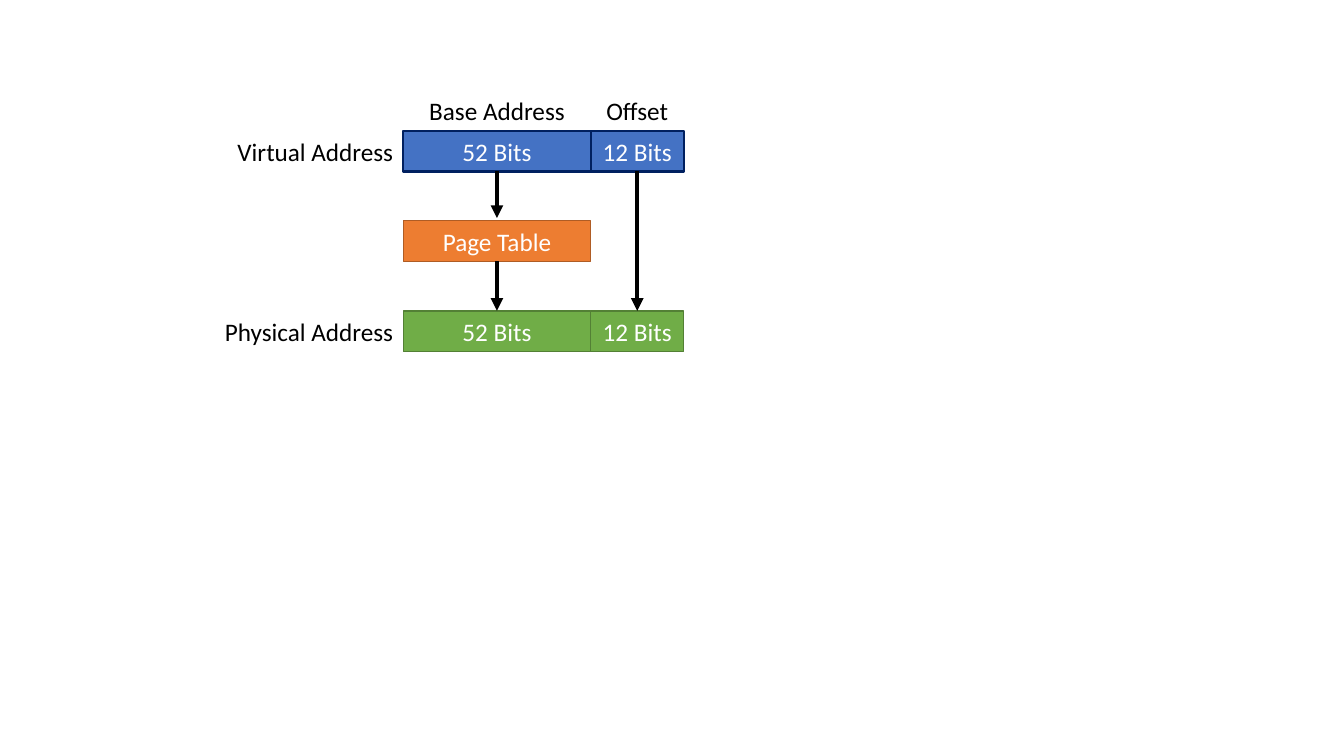
from lxml import etree
from pptx import Presentation
from pptx.dml.color import RGBColor
from pptx.enum.shapes import MSO_CONNECTOR, MSO_SHAPE
from pptx.enum.text import MSO_ANCHOR, MSO_AUTO_SIZE, PP_ALIGN
from pptx.oxml.ns import qn
from pptx.util import Pt

RECTANGLE = MSO_SHAPE.RECTANGLE
STRAIGHT = MSO_CONNECTOR.STRAIGHT
MIDDLE = MSO_ANCHOR.MIDDLE
GROW = MSO_AUTO_SIZE.SHAPE_TO_FIT_TEXT
CENTER = PP_ALIGN.CENTER
RIGHT = PP_ALIGN.RIGHT

BLACK = RGBColor(0x00, 0x00, 0x00)
WHITE = RGBColor(0xFF, 0xFF, 0xFF)
BLUE = RGBColor(0x44, 0x72, 0xC4)
NAVY = RGBColor(0x00, 0x20, 0x60)
ORANGE = RGBColor(0xED, 0x7D, 0x31)
BROWN = RGBColor(0xAF, 0x5C, 0x24)
GREEN = RGBColor(0x70, 0xAD, 0x47)
DARK_GREEN = RGBColor(0x53, 0x80, 0x35)

ROW_HEIGHT = 29.1
BASE_LEFT, BASE_WIDTH = 288, 134
OFFSET_LEFT, OFFSET_WIDTH = BASE_LEFT + BASE_WIDTH, 66.4
BASE_CENTER = BASE_LEFT + BASE_WIDTH / 2
OFFSET_CENTER = OFFSET_LEFT + OFFSET_WIDTH / 2
HEADING_TOP = 64.3
VIRTUAL_TOP, ROW_STEP = 93.4, 64.3
TABLE_TOP = VIRTUAL_TOP + ROW_STEP
PHYSICAL_TOP = TABLE_TOP + ROW_STEP


class Diagram:
    font_name = "Calibri"
    font_size = 18
    arrow_width = 3

    def __init__(self, slide):
        self.slide = slide

    def set_text(self, shape, text, color, alignment):
        frame = shape.text_frame
        frame.word_wrap = True
        frame.auto_size = GROW
        frame.vertical_anchor = MIDDLE
        paragraph = frame.paragraphs[0]
        paragraph.text = text
        paragraph.alignment = alignment
        paragraph.font.name = self.font_name
        paragraph.font.size = Pt(self.font_size)
        paragraph.font.color.rgb = color

    def box(self, text, left, top, width, fill, outline, outline_width=1):
        shape = self.slide.shapes.add_shape(
            RECTANGLE, Pt(left), Pt(top), Pt(width), Pt(ROW_HEIGHT))
        shape.shadow.inherit = False
        shape.fill.solid()
        shape.fill.fore_color.rgb = fill
        shape.line.color.rgb = outline
        shape.line.width = Pt(outline_width)
        self.set_text(shape, text, WHITE, CENTER)

    def label(self, text, left, top, width, alignment=CENTER):
        shape = self.slide.shapes.add_textbox(
            Pt(left), Pt(top), Pt(width), Pt(ROW_HEIGHT))
        self.set_text(shape, text, BLACK, alignment)

    def row_label(self, text, top, width):
        self.label(text, BASE_LEFT - width, top, width, RIGHT)

    def address(self, top, *style):
        self.box("52 Bits", BASE_LEFT, top, BASE_WIDTH, *style)
        self.box("12 Bits", OFFSET_LEFT, top, OFFSET_WIDTH, *style)

    def down_arrow(self, center, top, bottom):
        connector = self.slide.shapes.add_connector(
            STRAIGHT, Pt(center), Pt(top), Pt(center), Pt(bottom))
        connector.line.color.rgb = BLACK
        connector.line.width = Pt(self.arrow_width)
        properties = connector.element.spPr
        etree.SubElement(properties.get_or_add_ln(), qn("a:tailEnd"), type="triangle")
        etree.SubElement(properties, qn("a:effectLst"))


def main():
    presentation = Presentation()
    presentation.slide_width = Pt(960)
    presentation.slide_height = Pt(540)
    diagram = Diagram(presentation.slides.add_slide(presentation.slide_layouts[6]))

    diagram.address(VIRTUAL_TOP, BLUE, NAVY, 1.5)
    diagram.row_label("Virtual Address", VIRTUAL_TOP, 134)
    diagram.label("Base Address", BASE_LEFT, HEADING_TOP, BASE_WIDTH)
    diagram.label("Offset", OFFSET_LEFT, HEADING_TOP, OFFSET_WIDTH)
    diagram.box("Page Table", BASE_LEFT, TABLE_TOP, BASE_WIDTH, ORANGE, BROWN)
    diagram.address(PHYSICAL_TOP, GREEN, DARK_GREEN)
    diagram.row_label("Physical Address", PHYSICAL_TOP, 147)

    diagram.down_arrow(BASE_CENTER, VIRTUAL_TOP + ROW_HEIGHT, TABLE_TOP - 2)
    diagram.down_arrow(OFFSET_CENTER, VIRTUAL_TOP + ROW_HEIGHT, PHYSICAL_TOP)
    diagram.down_arrow(BASE_CENTER, TABLE_TOP + ROW_HEIGHT, PHYSICAL_TOP)

    presentation.save("out.pptx")


if __name__ == "__main__":
    main()
